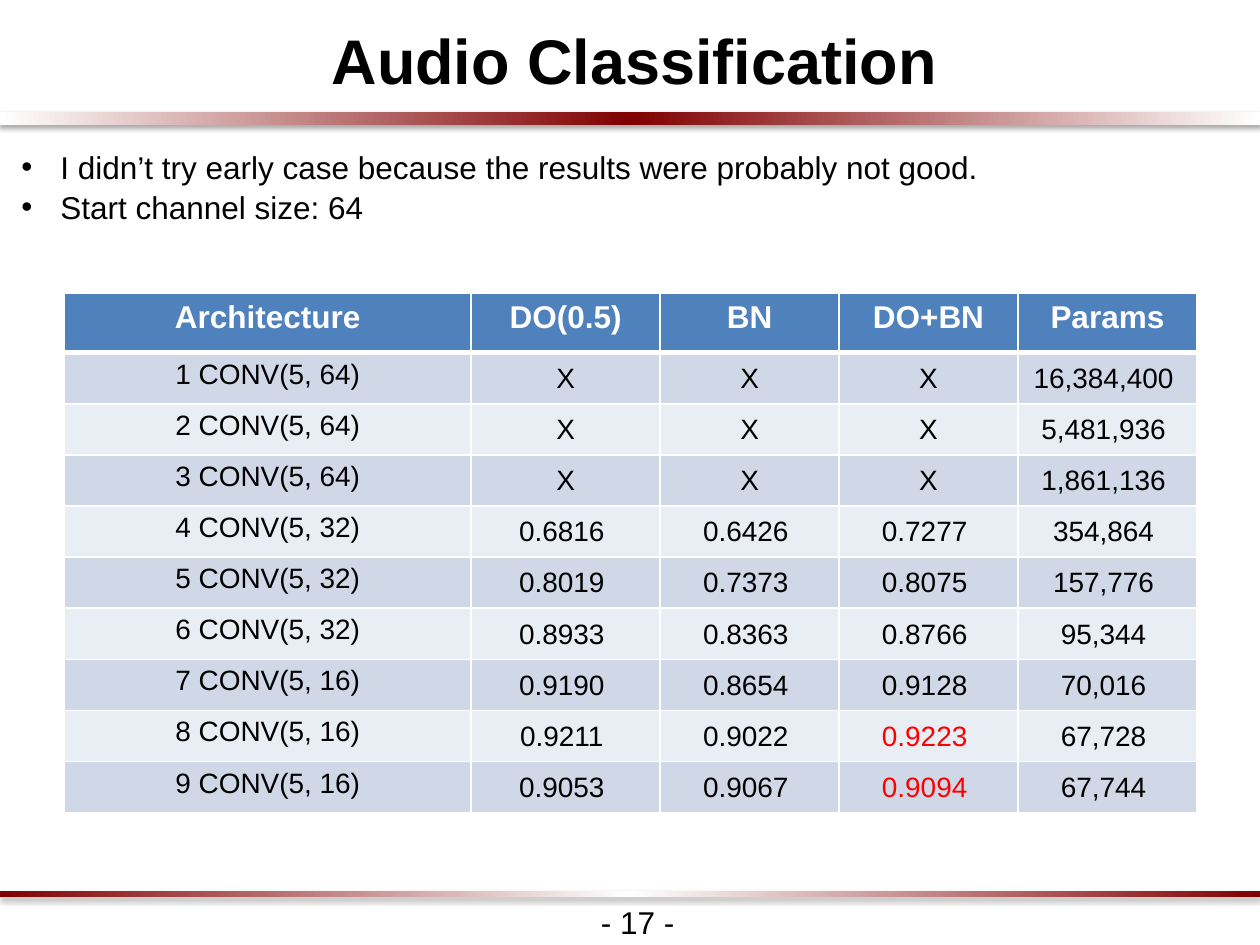
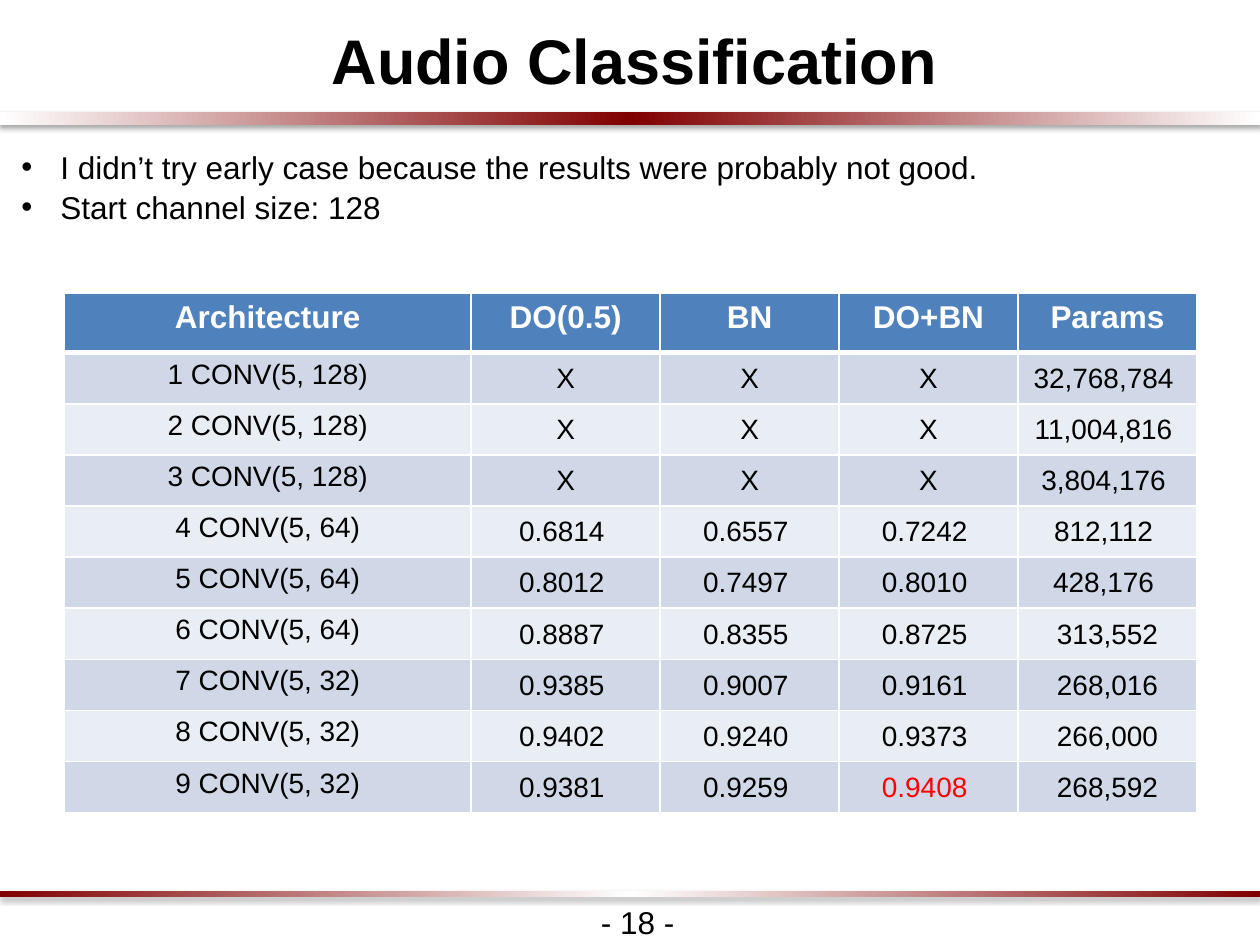
"""Build two slides of audio classification results by start channel size."""
from lxml import etree
from pptx import Presentation
from pptx import oxml
from pptx.dml.color import RGBColor
from pptx.enum import shapes, text
from pptx.oxml.ns import qn
from pptx.util import Inches, Pt

INK = {"black": "000000", "white": "FFFFFF", "wine": "800000", "red": "FF0000",
       "head": "4F81BD", "odd": "D0D8E8", "even": "E9EDF4"}
NS = 'xmlns:a="http://schemas.openxmlformats.org/drawingml/2006/main"'
SHADE = f"""<a:effectLst {NS}><a:outerShdw blurRad="39370" dist="22860" dir="5400000"
 rotWithShape="0"><a:srgbClr val="{INK['black']}"><a:alpha val="35000"/></a:srgbClr>
</a:outerShdw></a:effectLst>"""
BANDS = [(0.89, 0.1, "white", "wine"), (7.07, 0.05, "wine", "white")]
HEADS = ["Architecture", "DO(0.5)", "BN", "DO+BN", "Params"]
WIDTHS = [3.23, 1.5, 1.42, 1.42, 1.42]
TOP_ROW, ROW = 0.47, (4.12 - 0.47) / 9
SKIP = ["X", "X", "X"]

PAGES = [
    {"page": 17, "start": 64, "best": [8, 9], "rows": [
        [*SKIP, "16,384,400 "],
        [*SKIP, "5,481,936 "],
        [*SKIP, "1,861,136 "],
        ["0.6816 ", "0.6426 ", "0.7277 ", "354,864 "],
        ["0.8019 ", "0.7373 ", "0.8075 ", "157,776 "],
        ["0.8933 ", "0.8363 ", "0.8766 ", "95,344 "],
        ["0.9190 ", "0.8654 ", "0.9128 ", "70,016 "],
        ["0.9211 ", "0.9022 ", "0.9223 ", "67,728 "],
        ["0.9053 ", "0.9067 ", "0.9094 ", "67,744 "]]},
    {"page": 18, "start": 128, "best": [9], "rows": [
        [*SKIP, "32,768,784 "],
        [*SKIP, "11,004,816 "],
        [*SKIP, "3,804,176 "],
        ["0.6814 ", "0.6557 ", "0.7242 ", "812,112 "],
        ["0.8012 ", "0.7497 ", "0.8010 ", "428,176 "],
        ["0.8887 ", "0.8355 ", "0.8725 ", "313,552"],
        ["0.9385 ", "0.9007 ", "0.9161 ", "268,016"],
        ["0.9402 ", "0.9240 ", "0.9373 ", "266,000"],
        ["0.9381 ", "0.9259 ", "0.9408 ", "268,592"]]},
]


def write(frame, words, size=18, color="black", bold=False, align="LEFT",
          left=0, hang=0, lead=1.0):
    frame.text = words
    for para in frame.paragraphs:
        para.alignment = getattr(text.PP_ALIGN, align)
        para.line_spacing = lead
        para.space_before = Pt(0)
        props = para._p.get_or_add_pPr()
        props.set("marL", str(Inches(left)))
        props.set("indent", str(Inches(hang)))
        font = para.runs[0].font
        font.name, font.size, font.bold = "Arial", Pt(size), bold
        font.color.rgb = RGBColor.from_string(INK[color])


def place(shape, *box):
    shape.left, shape.top, shape.width, shape.height = map(Inches, box)


deck = Presentation()
deck.slide_width, deck.slide_height = Inches(10), Inches(7.5)

for page in PAGES:
    slide = deck.slides.add_slide(deck.slide_layouts[1])

    for top, high, edge, mid in BANDS:
        band = slide.shapes.add_shape(shapes.MSO_SHAPE.RECTANGLE, 0, Inches(top),
                                      deck.slide_width, Inches(high))
        band.line.fill.background()
        stops = "".join(f'<a:gs pos="{pos}"><a:srgbClr val="{INK[hue]}"/></a:gs>'
                        for pos, hue in [(0, edge), (50000, mid), (100000, edge)])
        props = band._element.spPr
        props.insert(2, oxml.parse_xml(f'<a:gradFill {NS} rotWithShape="1"><a:gsLst>{stops}'
                                       '</a:gsLst><a:lin ang="0" scaled="0"/></a:gradFill>'))
        props.append(oxml.parse_xml(SHADE))

    title, body = slide.shapes.title, slide.placeholders[1]
    place(title, -0.23, 0.03, 10.45, 0.79)
    frame = title.text_frame
    frame.margin_top = frame.margin_bottom = Inches(0.1)
    frame.vertical_anchor = text.MSO_ANCHOR.MIDDLE
    frame.auto_size = text.MSO_AUTO_SIZE.NONE
    write(frame, "Audio Classification", size=36, bold=True, align="CENTER",
          left=0.08, lead=1.15)

    place(body, 0.07, 1.11, 9.42, 1.06)
    body.text_frame.auto_size = text.MSO_AUTO_SIZE.NONE
    write(body.text_frame, "I didn’t try early case because the results were probably "
          f"not good.\nStart channel size: {page['start']}", left=0.31, hang=-0.31, lead=1.05)

    foot = slide.shapes.add_textbox(Inches(4.67), Inches(7.12), Inches(0.79), Inches(0.4))
    foot.text_frame.word_wrap = False
    write(foot.text_frame, f"- {page['page']} -")

    rows = [HEADS] + [[f"{num} CONV(5, {page['start'] >> (num - 1) // 3})", *vals]
                      for num, vals in enumerate(page["rows"], 1)]
    grid = slide.shapes.add_table(len(rows), len(HEADS), Inches(0.51), Inches(2.33),
                                  Inches(sum(WIDTHS)), Inches(4.12)).table
    for col, wide in zip(grid.columns, WIDTHS):
        col.width = Inches(wide)
    for r, vals in enumerate(rows):
        grid.rows[r].height = Inches(ROW if r else TOP_ROW)
        for c, word in enumerate(vals):
            cell = grid.cell(r, c)
            props = cell._tc.get_or_add_tcPr()
            for side in "LRTB":
                thick = (r, side) in [(0, "B"), (1, "T")]
                line = etree.SubElement(props, qn(f"a:ln{side}"), w=str(Pt(3 if thick else 1)))
                fill = etree.SubElement(line, qn("a:solidFill"))
                etree.SubElement(fill, qn("a:srgbClr"), val=INK["white"])
            cell.fill.solid()
            shade = "head" if r == 0 else "odd" if r % 2 else "even"
            cell.fill.fore_color.rgb = RGBColor.from_string(INK[shade])
            if r and c:
                cell.vertical_anchor = text.MSO_ANCHOR.MIDDLE
                cell.margin_left = cell.margin_right = cell.margin_top = Inches(0.01)
                cell.margin_bottom = 0
            best = c == 3 and r in page["best"]
            write(cell.text_frame, word, size=16 if r else 18, bold=r == 0, align="CENTER",
                  color="white" if r == 0 else "red" if best else "black")

deck.save("out.pptx")
